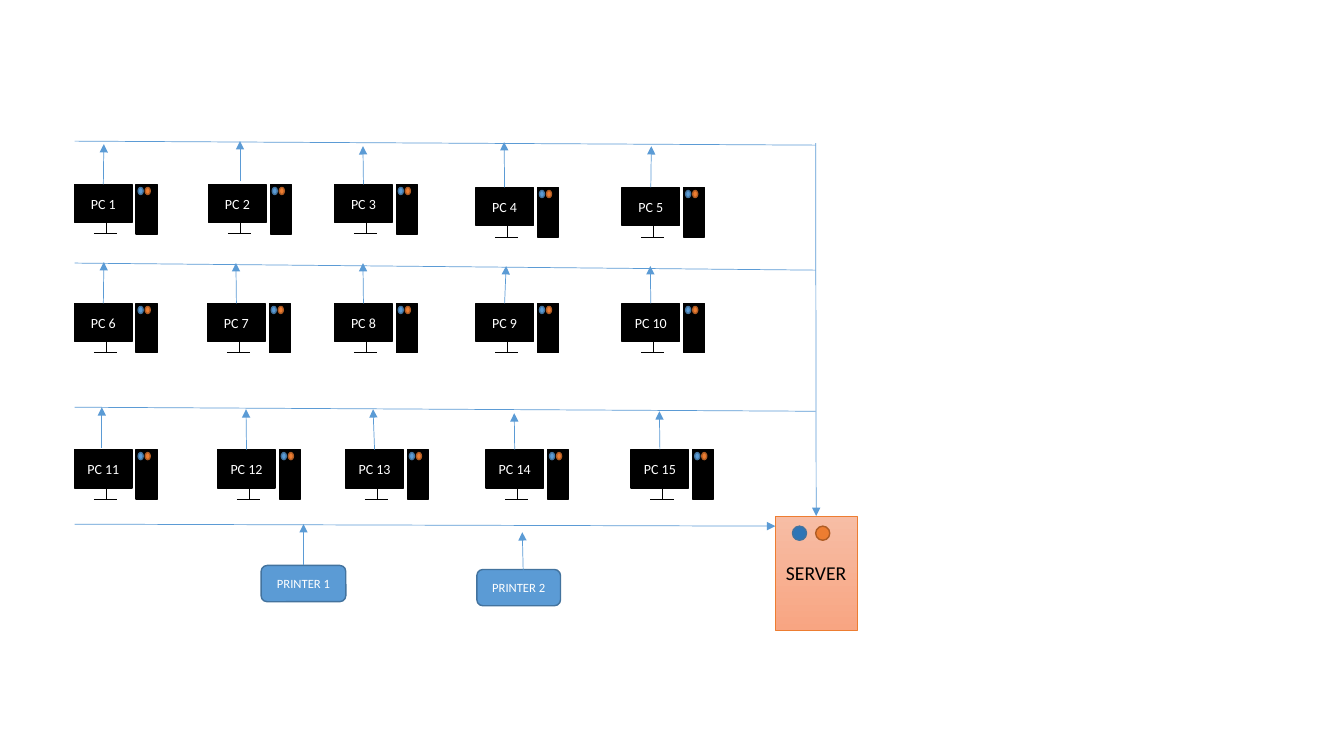
"""Draw a network plan of fifteen PCs, two printers and a server."""
from dataclasses import dataclass
from typing import Any, NamedTuple, Optional

from lxml.etree import SubElement as Sub
from pptx import Presentation
from pptx.dml.color import RGBColor as Rgb
from pptx.enum.shapes import MSO_CONNECTOR as Conn, MSO_SHAPE as Kind
from pptx.enum.text import MSO_ANCHOR as Anchor, PP_ALIGN as Align
from pptx.oxml.ns import qn
from pptx.util import Inches, Pt


@dataclass(frozen=True)
class Theme:
    """Colours, font and type sizes."""
    font: str = "Calibri"
    black: str = "000000"
    white: str = "FFFFFF"
    blue: str = "5B9BD5"
    navy: str = "43739E"
    deep: str = "2E75B6"
    orange: str = "ED7D31"
    rust: str = "AF5C24"
    pale: str = "F7BDA5"
    peach: str = "F8A582"
    small: float = 9
    body: float = 10
    large: float = 14
    thin: float = 0.5
    thick: float = 1


class Point(NamedTuple):
    """A place in inches."""
    x: float
    y: float


class Box(NamedTuple):
    """A frame in inches."""
    x: float
    y: float
    w: float
    h: float


class Wire(NamedTuple):
    """A line between two points."""
    start: Point
    end: Point
    arrow: bool = False


@dataclass(frozen=True)
class Desk:
    """A PC with the tip of its arrow and, if loose, the arrow's start."""
    at: Point
    tip: Point
    start: Optional[Point] = None


T = Theme()
DESKS = [
    Desk(Point(0.74, 1.83), Point(1.03, 1.43)),
    Desk(Point(2.07, 1.83), Point(2.38, 1.4), Point(2.38, 1.8)),
    Desk(Point(3.32, 1.83), Point(3.6, 1.45)),
    Desk(Point(4.72, 1.86), Point(5, 1.41)),
    Desk(Point(6.17, 1.86), Point(6.46, 1.45)),
    Desk(Point(0.74, 3.01), Point(1.03, 2.6)),
    Desk(Point(2.06, 3.01), Point(2.34, 2.61)),
    Desk(Point(3.32, 3.01), Point(3.6, 2.61)),
    Desk(Point(4.72, 3.01), Point(5.02, 2.64)),
    Desk(Point(6.17, 3.01), Point(6.45, 2.64)),
    Desk(Point(0.74, 4.46), Point(1.01, 4.04), Point(1.01, 4.44)),
    Desk(Point(2.16, 4.46), Point(2.44, 4.06)),
    Desk(Point(3.43, 4.46), Point(3.7, 4.06)),
    Desk(Point(4.82, 4.46), Point(5.1, 4.1)),
    Desk(Point(6.26, 4.46), Point(6.54, 4.08)),
]
BUSES = [
    Wire(Point(0.74, 1.4), Point(8.09, 1.44)),
    Wire(Point(0.74, 2.61), Point(8.09, 2.68)),
    Wire(Point(0.74, 4.04), Point(8.09, 4.08)),
    Wire(Point(0.74, 5.2), Point(7.69, 5.22), True),
]


def apply(item: Any, values: dict[str, Any]) -> None:
    """Set each named value on the item."""
    for name, value in values.items():
        setattr(item, name, value)


def block(shapes: Any, kind: Any, box: Box, fill: str, edge: str, width: float = T.thick) -> Any:
    """Add a filled shape with an outline."""
    shape = shapes.add_shape(kind, *map(Inches, box))
    shape.shadow.inherit = False
    shape.fill.solid()
    shape.fill.fore_color.rgb = Rgb.from_string(fill)
    shape.line.color.rgb = Rgb.from_string(edge)
    shape.line.width = Pt(width)
    return shape


def label(shape: Any, text: str, size: float, color: str) -> None:
    """Write centred text on a shape."""
    frame = shape.text_frame
    frame.text = text
    apply(frame, {"word_wrap": True, "vertical_anchor": Anchor.MIDDLE,
                  "margin_left": 0, "margin_right": 0})
    line = frame.paragraphs[0]
    line.alignment = Align.CENTER
    font = line.runs[0].font
    apply(font, {"name": T.font, "size": Pt(size)})
    font.color.rgb = Rgb.from_string(color)


def link(shapes: Any, wire: Wire, color: str = T.blue) -> Any:
    """Add a thin line, with an arrowhead if asked."""
    line = shapes.add_connector(Conn.STRAIGHT, *map(Inches, wire.start + wire.end))
    line.line.color.rgb = Rgb.from_string(color)
    line.line.width = Pt(T.thin)
    props = line._element.spPr
    if wire.arrow:
        Sub(props.find(qn("a:ln")), qn("a:tailEnd"), type="triangle")
    Sub(props, qn("a:effectLst"))
    return line


def lights(shapes: Any, at: Point, gap: float, w: float, h: float, first: str) -> None:
    """Add a blue and an orange light side by side."""
    for step, (fill, edge) in enumerate([(first, T.navy), (T.orange, T.rust)]):
        block(shapes, Kind.FLOWCHART_CONNECTOR, Box(at.x + step * gap, at.y, w, h), fill, edge)


def draw_desk(shapes: Any, desk: Desk, text: str) -> None:
    """Add a PC with its screen, stand, tower and arrow."""
    x, y = desk.at
    parts = shapes.add_group_shape().shapes
    screen = block(parts, Kind.RECTANGLE, Box(x, y, 0.57, 0.38), T.black, T.black)
    label(screen, text, T.body, T.white)
    foot = y + 0.49
    link(parts, Wire(Point(x + 0.31, y + 0.38), Point(x + 0.31, foot)), T.black)
    link(parts, Wire(Point(x + 0.19, foot), Point(x + 0.42, foot)), T.black)
    block(parts, Kind.RECTANGLE, Box(x + 0.61, y, 0.21, 0.49), T.black, T.black)
    lights(parts, Point(x + 0.63, y + 0.03), 0.07, 0.05, 0.07, T.blue)
    arrow = link(shapes, Wire(desk.start or desk.at, desk.tip, True))
    if desk.start is None:
        arrow.begin_connect(screen, 0)


def printer(shapes: Any, box: Box, text: str) -> Any:
    """Add a printer box."""
    shape = block(shapes, Kind.ROUNDED_RECTANGLE, box, T.blue, T.navy)
    label(shape, text, T.small, T.white)
    return shape


def server(shapes: Any) -> Any:
    """Add the server with its lights."""
    parts = shapes.add_group_shape().shapes
    case = block(parts, Kind.FLOWCHART_PROCESS, Box(7.69, 5.12, 0.81, 1.13),
                 T.pale, T.orange, T.thin)
    case.fill.gradient()
    case.fill.gradient_angle = 270
    for stop, color in zip(case.fill.gradient_stops, (T.pale, T.peach)):
        stop.color.rgb = Rgb.from_string(color)
    label(case, "SERVER", T.large, T.black)
    lights(parts, Point(7.86, 5.22), 0.23, 0.14, 0.14, T.deep)
    return case


def main() -> None:
    """Build and save the slide."""
    deck = Presentation()
    apply(deck, {"slide_width": Inches(13.33), "slide_height": Inches(7.5)})
    shapes = deck.slides.add_slide(deck.slide_layouts[6]).shapes
    for bus in BUSES:
        link(shapes, bus)
    for count, desk in enumerate(DESKS, 1):
        draw_desk(shapes, desk, f"PC {count}")
    first = printer(shapes, Box(2.59, 5.61, 0.84, 0.36), "PRINTER 1")
    printer(shapes, Box(4.73, 5.65, 0.83, 0.36), "PRINTER 2")
    link(shapes, Wire(Point(3.01, 5.61), Point(3.01, 5.2), True)).begin_connect(first, 0)
    link(shapes, Wire(Point(5.19, 5.69), Point(5.18, 5.28), True))
    case = server(shapes)
    link(shapes, Wire(Point(8.09, 1.42), Point(8.09, 5.12), True)).end_connect(case, 0)
    deck.save("out.pptx")


if __name__ == "__main__":
    main()
